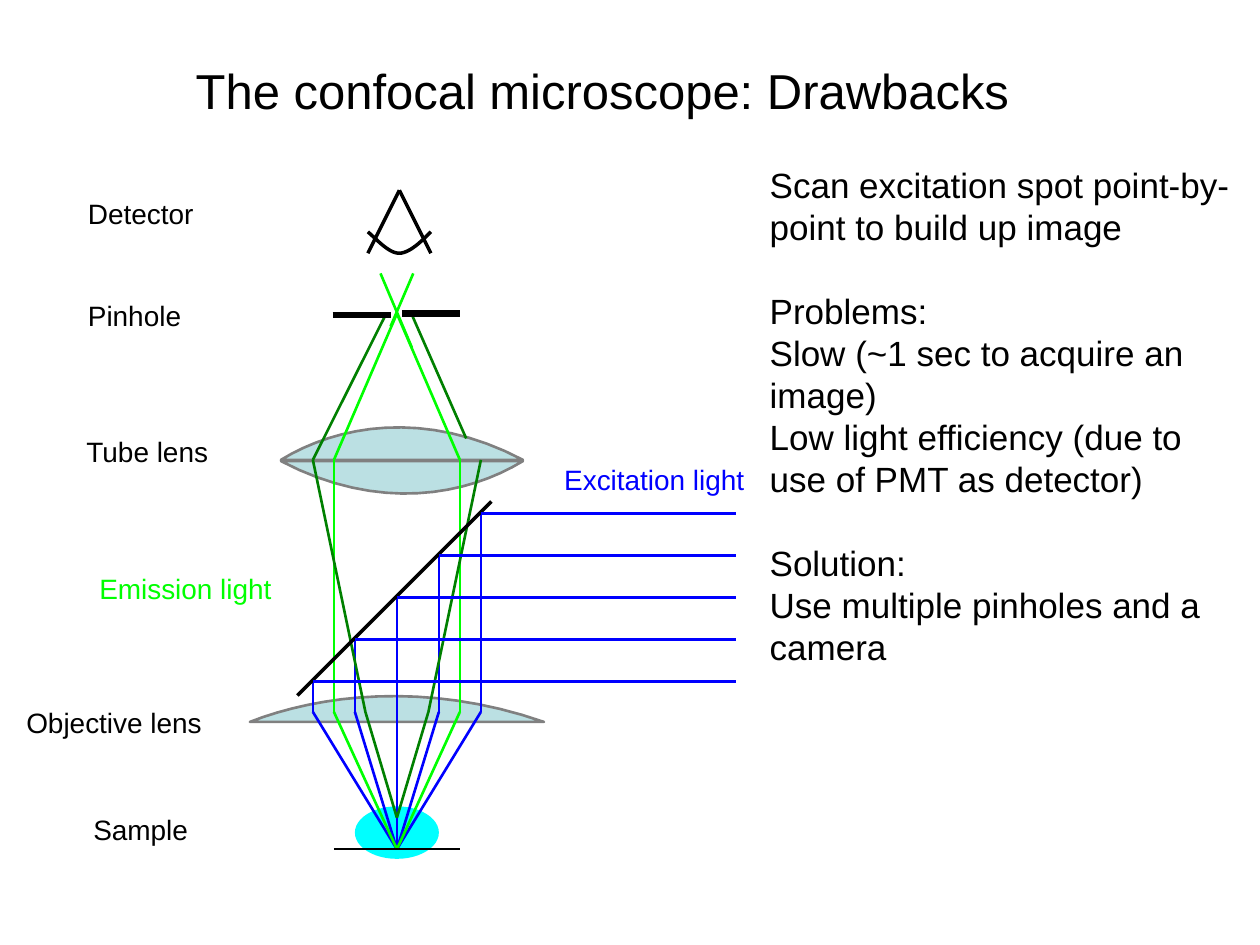
from lxml import etree
from pptx import Presentation
from pptx.dml.color import RGBColor
from pptx.enum.shapes import MSO_CONNECTOR, MSO_SHAPE
from pptx.enum.text import MSO_AUTO_SIZE, PP_ALIGN
from pptx.oxml.ns import qn
from pptx.util import Inches, Pt

STRAIGHT = MSO_CONNECTOR.STRAIGHT
OVAL = MSO_SHAPE.OVAL
GROW = MSO_AUTO_SIZE.SHAPE_TO_FIT_TEXT
LEFT, MID, RIGHT = PP_ALIGN.LEFT, PP_ALIGN.CENTER, PP_ALIGN.RIGHT
HUES = {"ink": "000000", "blue": "0000FF", "green": "00FF00", "dark": "008000",
        "glass": "BBE0E3", "rim": "808080", "cell": "00FFFF"}
COLS, ROWS = 60, 45
UNIT = Inches(10) / COLS
STEPS = 16
AXIS = 7
EYE, HOLE, TUBE, MIRROR, LENS, FOCUS = 0.06, 5.94, 12.9, 19.44, 24.9, 31.44
BEAMS = (-4, -2, 0, 2, 4)


def size(n):
    """Turn grid units into a length."""
    return round(n * UNIT)


def hue(name):
    """Return a named colour."""
    return RGBColor.from_string(HUES[name])


def write(slide, box, lines, pts, tint="ink", align=LEFT, wrap=False):
    """Place text; each line is a (text, space before) pair."""
    frame = slide.shapes.add_textbox(*map(size, box)).text_frame
    frame.word_wrap = wrap
    frame.auto_size = GROW
    for i, (text, gap) in enumerate(lines):
        para = frame.paragraphs[0] if i == 0 else frame.add_paragraph()
        para.text = text
        para.alignment = align
        if gap:
            para.space_before = Pt(gap)
        para.font.name = "Arial"
        para.font.size = Pt(pts)
        para.font.color.rgb = hue(tint)


def trace(slide, box, tint, *points, width=1.5):
    """Join points, measured from the optical axis, with straight lines."""
    spots = [(size(box[0] + AXIS + x), size(box[1] + y)) for x, y in points]
    for start, end in zip(spots, spots[1:]):
        line = slide.shapes.add_connector(STRAIGHT, *start, *end)
        line.line.color.rgb = hue(tint)
        line.line.width = Pt(width)
        etree.SubElement(line._element.spPr, qn("a:effectLst"))


def bend(*knots):
    """Sample a cubic curve given by four points."""
    out = []
    for i in range(STEPS + 1):
        t = i / STEPS
        parts = ((1 - t) ** 3, 3 * t * (1 - t) ** 2, 3 * t * t * (1 - t), t ** 3)
        out.append(tuple(sum(p * k[a] for p, k in zip(parts, knots)) for a in (0, 1)))
    return out


def outline(slide, box, points, tint, width, fill=None):
    """Draw a curve, closed and filled when a fill is named."""
    spots = [(size(box[0] + AXIS + x), size(box[1] + y)) for x, y in points]
    pen = slide.shapes.build_freeform(*spots[0])
    pen.add_line_segments(spots[1:], close=bool(fill))
    shape = pen.convert_to_shape()
    shape.shadow.inherit = False
    shape.line.color.rgb = hue(tint)
    shape.line.width = Pt(width)
    if fill:
        shape.fill.solid()
        shape.fill.fore_color.rgb = hue(fill)
    else:
        shape.fill.background()


def stage(slide, box):
    """Draw the objective lens and the sample."""
    rim = 25.38
    arc = bend((7, rim), (1.32, 23.4), (-3.78, 24.12), (-7, rim))
    outline(slide, box, arc, "rim", 1.5, "glass")
    cell = slide.shapes.add_shape(
        OVAL, size(box[0] + AXIS - 2), size(box[1] + 29.4), size(4), size(2.5))
    cell.shadow.inherit = False
    cell.fill.solid()
    cell.fill.fore_color.rgb = hue("cell")
    cell.line.fill.background()


def tube(slide, box):
    """Draw the tube lens as one half and its half turn."""
    top = bend((6, TUBE), (1.32, 10.44), (-2.88, 11.28), (-5.52, TUBE))
    base = [(0.48 - x, 2 * TUBE + 0.06 - y) for x, y in top]
    for half in (top, base):
        outline(slide, box, half, "rim", 1.5, "glass")


def rays(slide, box):
    """Draw the excitation and emission rays."""
    for x in BEAMS:
        trace(slide, box, "blue", (x, MIRROR - x), (x, LENS), (0, FOCUS))
    tube(slide, box)
    for x in (-3, 3):
        trace(slide, box, "green", (0, FOCUS), (x, LENS), (x, TUBE), (0, HOLE))
    trace(slide, box, "dark", (0, 29.94), (-1.5, LENS), (-4, TUBE), (-0.54, 6))
    trace(slide, box, "dark", (0, 29.94), (1.5, LENS), (4, TUBE))
    trace(slide, box, "dark", (0.72, 6), (3.3, 11.88))


def parts(slide, box):
    """Draw the stage line, mirror, incoming light, pinhole and detector."""
    trace(slide, box, "ink", (-3, FOCUS), (3, FOCUS), width=1)
    trace(slide, box, "ink", (0.24, HOLE), (3, HOLE), width=4)
    trace(slide, box, "ink", (-4.74, 24.12), (4.5, 14.88), width=2)
    for x in BEAMS:
        trace(slide, box, "blue", (x, MIRROR - x), (16.14, MIRROR - x))
    trace(slide, box, "ink", (-3.06, 6), (-0.3, 6), width=4)
    trace(slide, box, "green", (-0.3, 6.54), (0.78, 4.02))
    trace(slide, box, "green", (0.72, 7.56), (-0.78, 4.02))
    trace(slide, box, "ink", (-1.38, 3.06), (0.12, EYE), (1.62, 3.06), width=2)
    arc = bend((-1.38, 2.04), (-0.84, 2.52), (-0.36, 3.06), (0.12, 3.06))
    arc += bend((0.12, 3.06), (0.66, 3.06), (1.38, 2.28), (1.62, 2.04))[1:]
    outline(slide, box, arc, "ink", 2)


def labels(slide, box):
    """Name the parts of the microscope."""
    for text, x, y, wide, tint, align in (
            ("Detector", 3.6, 0.06, 6.24, "ink", LEFT),
            ("Pinhole", 3.6, 4.92, 5.64, "ink", LEFT),
            ("Tube lens", 3.42, 11.4, 7.08, "ink", RIGHT),
            ("Excitation light", 26.28, 12.72, 9.78, "blue", LEFT),
            ("Emission light", 4.14, 17.94, 9.42, "green", LEFT),
            ("Objective lens", 0.6, 24.3, 9.6, "ink", RIGHT),
            ("Sample", 3.84, 29.4, 5.7, "ink", RIGHT)):
        place = (box[0] + x, box[1] + y, wide, 2.22)
        write(slide, place, [(text, 0)], 16, tint, align)


def notes(slide, box):
    """List the drawbacks and the way out."""
    write(slide, box, [
        ("Scan excitation spot point-by-point to build up image", 0),
        ("Problems:", 24),
        ("Slow (~1 sec to acquire an image)", 0),
        ("Low light efficiency (due to use of PMT as detector)", 0),
        ("Solution:", 24),
        ("Use multiple pinholes and a camera", 0)], 20, wrap=True)


def main():
    """Build the slide."""
    deck = Presentation()
    deck.slide_width, deck.slide_height = size(COLS), size(ROWS)
    slide = deck.slides.add_slide(deck.slide_layouts[6])
    title = [("The confocal microscope: Drawbacks", 0)]
    write(slide, (8.46, 2.58, 40.44, 3.42), title, 28, align=MID)
    optics = (11.9, 9)
    for draw in (stage, rays, parts):
        draw(slide, optics)
    labels(slide, (0, 9))
    notes(slide, (36.06, 7.5, 23.94, 24.9))
    deck.save("out.pptx")


if __name__ == "__main__":
    main()
